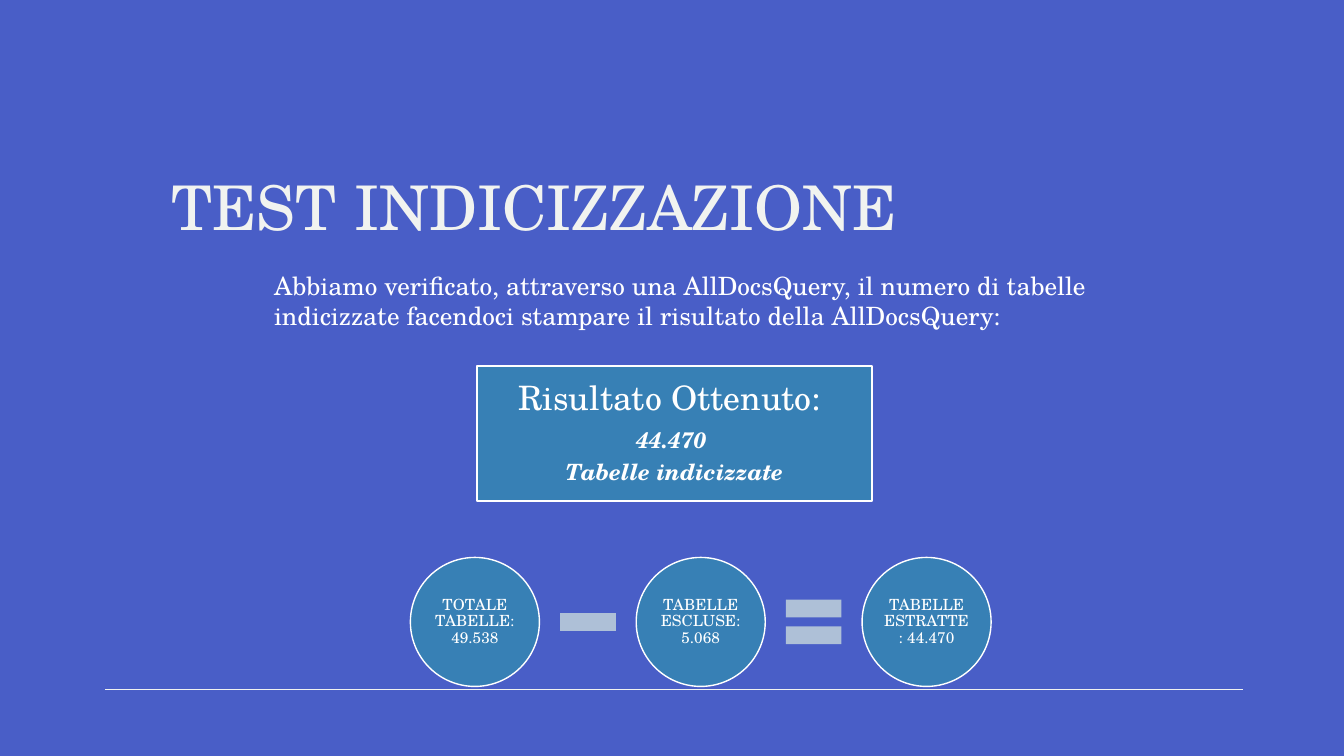
from dataclasses import dataclass

from pptx import Presentation
from pptx.dml.color import RGBColor
from pptx.enum.shapes import MSO_CONNECTOR, MSO_SHAPE
from pptx.enum.text import MSO_ANCHOR, MSO_AUTO_SIZE, PP_ALIGN
from pptx.oxml.xmlchemy import OxmlElement
from pptx.util import Inches, Pt

LEFT, CENTER = PP_ALIGN.LEFT, PP_ALIGN.CENTER
TOP, MIDDLE, BOTTOM = MSO_ANCHOR.TOP, MSO_ANCHOR.MIDDLE, MSO_ANCHOR.BOTTOM
OVAL, RECTANGLE = MSO_SHAPE.OVAL, MSO_SHAPE.RECTANGLE
MINUS, EQUAL = MSO_SHAPE.MATH_MINUS, MSO_SHAPE.MATH_EQUAL

# Content
TITLE = "TEST INDICIZZAZIONE"
INTRO = ("Abbiamo verificato, attraverso una AllDocsQuery, il numero di tabelle "
         "indicizzate facendoci stampare il risultato della AllDocsQuery:")
RESULT_HEADING = "Risultato Ottenuto: "
RESULT_LINES = ["44.470 ", "Tabelle indicizzate"]
TERMS = ["TOTALE TABELLE: 49.538", "TABELLE ESCLUSE: 5.068",
         "TABELLE ESTRATTE: 44.470"]
OPERATORS = [MINUS, EQUAL]


@dataclass(frozen=True)
class Theme:
    font: str = "TeX Gyre Schola"
    background: str = "495EC7"
    panel: str = "3780B5"
    operator: str = "AEC0D7"
    pale: str = "F1F3F0"
    white: str = "FFFFFF"
    title: int = 44
    heading: int = 24
    intro: int = 18
    result: int = 16
    term: int = 11


THEME = Theme()

# Layout in inches
WIDTH, HEIGHT = 13.33, 7.5
RULE_MARGIN, RULE_TOP = 1.04, 6.84
TITLE_BOX = (1.6, 0.96, 8.32, 1.5)
INTRO_BOX = (2.62, 2.63, 8.66, 0.71)
RESULT_BOX = (4.73, 3.63, 3.92, 1.34)
CIRCLE, OPERATOR = 1.28, 0.75
EQUATION_LEFT, EQUATION_MIDDLE = 4.07, 6.17
PITCH = 2.24  # from one circle to the next


def color(value):
    return RGBColor.from_string(value)


def inches(box):
    return [Inches(length) for length in box]


def write(frame, text, size, tint=THEME.white, align=LEFT, bold=False,
          italic=False, spacing=None, after=0, new=False):
    """Write one paragraph, the first or a new one."""
    para = frame.add_paragraph() if new else frame.paragraphs[0]
    para.alignment = align
    para.space_after = Pt(after)
    if spacing:
        para.line_spacing = spacing
    span = para.add_run()
    span.text = text
    font = span.font
    font.name, font.size, font.color.rgb = THEME.font, Pt(size), color(tint)
    font.bold, font.italic = bold, italic


def write_centered(frame, text, size, **options):
    write(frame, text, size, align=CENTER, spacing=0.9, after=0.35 * size, **options)


def set_frame(frame, anchor, inset=None):
    frame.word_wrap = True
    frame.auto_size = MSO_AUTO_SIZE.NONE
    frame.vertical_anchor = anchor
    if inset is not None:
        frame.margin_left = frame.margin_right = Inches(inset)
        frame.margin_top = frame.margin_bottom = Inches(inset)


def add_panel(page, kind, box, fill, outline=None):
    panel = page.shapes.add_shape(kind, *inches(box))
    panel.shadow.inherit = False
    panel.fill.solid()
    panel.fill.fore_color.rgb = color(fill)
    if outline:
        panel.line.color.rgb = color(outline)
        panel.line.width = Pt(1)
    else:
        panel.line.fill.background()
    return panel


def add_rule(page):
    rule = page.shapes.add_connector(
        MSO_CONNECTOR.STRAIGHT,
        *inches((RULE_MARGIN, RULE_TOP, WIDTH - RULE_MARGIN + 0.04, RULE_TOP)))
    rule.line.color.rgb = color(THEME.pale)
    rule.line.width = Pt(0.85)
    rule._element.spPr.append(OxmlElement("a:effectLst"))


def add_heading(page):
    title = page.shapes.title
    title.left, title.top, title.width, title.height = inches(TITLE_BOX)
    set_frame(title.text_frame, BOTTOM)
    write(title.text_frame, TITLE, THEME.title, tint=THEME.pale)
    intro = page.shapes.add_textbox(*inches(INTRO_BOX))
    set_frame(intro.text_frame, TOP)
    write(intro.text_frame, INTRO, THEME.intro)


def add_result(page):
    frame = add_panel(page, RECTANGLE, RESULT_BOX, THEME.panel, THEME.white).text_frame
    set_frame(frame, MIDDLE, 0.1)
    write_centered(frame, RESULT_HEADING, THEME.heading)
    for line in RESULT_LINES:
        write_centered(frame, line, THEME.result, bold=True, italic=True, new=True)


def add_equation(page):
    for index, term in enumerate(TERMS):
        left = EQUATION_LEFT + index * PITCH
        box = (left, EQUATION_MIDDLE - CIRCLE / 2, CIRCLE, CIRCLE)
        frame = add_panel(page, OVAL, box, THEME.panel, THEME.white).text_frame
        set_frame(frame, MIDDLE, 0.02)
        write_centered(frame, term, THEME.term)
        # Each operator sits midway between two circles
        if index < len(OPERATORS):
            gap = (PITCH - CIRCLE - OPERATOR) / 2
            box = (left + CIRCLE + gap, EQUATION_MIDDLE - OPERATOR / 2,
                   OPERATOR, OPERATOR)
            add_panel(page, OPERATORS[index], box, THEME.operator)


def main():
    deck = Presentation()
    deck.slide_width, deck.slide_height = Inches(WIDTH), Inches(HEIGHT)
    page = deck.slides.add_slide(deck.slide_layouts.get_by_name("Title Only"))
    page.background.fill.solid()
    page.background.fill.fore_color.rgb = color(THEME.background)
    add_rule(page)
    add_heading(page)
    add_equation(page)
    add_result(page)
    deck.save("out.pptx")


if __name__ == "__main__":
    main()
